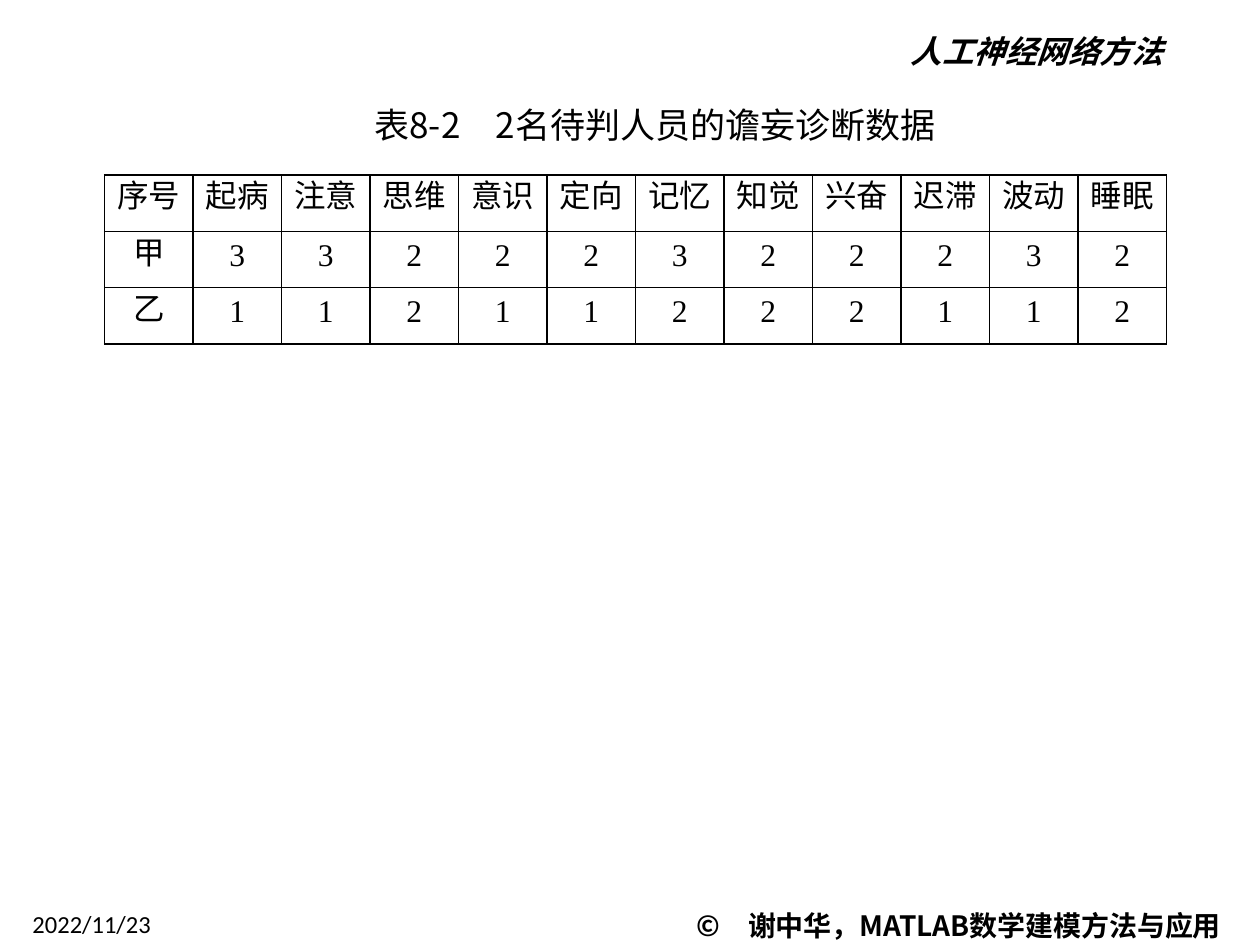
from dataclasses import dataclass

from lxml import etree
from pptx import Presentation
from pptx.dml.color import RGBColor
from pptx.enum.text import MSO_ANCHOR, MSO_AUTO_SIZE, PP_ALIGN
from pptx.oxml.ns import qn
from pptx.util import Inches, Pt

LEFT, CENTER = PP_ALIGN.LEFT, PP_ALIGN.CENTER
TOP, MIDDLE = MSO_ANCHOR.TOP, MSO_ANCHOR.MIDDLE
NO_AUTOFIT = MSO_AUTO_SIZE.NONE


@dataclass(frozen=True)
class Theme:
    ink: RGBColor = RGBColor(0, 0, 0)
    caption: int = 20
    body: int = 18
    copyright: int = 16
    date: int = 14
    line_spacing: float = 15.6
    border: int = 1
    chinese: str = "Noto Sans CJK SC"


THEME = Theme()

CAPTION = {
    "text": "表8-2　2名待判人员的谵妄诊断数据",
    "box": (20.1, 10.27, 63.8, 5.87),
    "align": CENTER,
    "anchor": MIDDLE,
    "font": {"name": THEME.chinese, "size": Pt(THEME.caption), "bold": False},
}
LABELS = [
    {
        "text": "人工神经网络方法",
        "box": (70.5, 2.67, 23.6, 5.33),
        "align": CENTER,
        "anchor": MIDDLE,
        "font": {"name": "Arial", "size": Pt(THEME.body), "bold": True, "italic": True},
    },
    {
        "text": "2022/11/23",
        "box": (1.6, 95.73, 21.6, 4),
        "align": LEFT,
        "anchor": MIDDLE,
        "font": {"name": "Calibri", "size": Pt(THEME.date)},
    },
    {
        "text": "©　谢中华，MATLAB数学建模方法与应用",
        "box": (53.1, 96, 46, 3.87),
        "align": CENTER,
        "anchor": MIDDLE,
        "font": {"name": THEME.chinese, "size": Pt(THEME.copyright), "bold": True},
    },
]
DIAGNOSIS_BOX = (8.3, 18.53, 84.3, 17.87)
DIAGNOSIS = [
    ["序号", "起病", "注意", "思维", "意识", "定向",
     "记忆", "知觉", "兴奋", "迟滞", "波动", "睡眠"],
    ["甲", 3, 3, 2, 2, 2, 3, 2, 2, 2, 3, 2],
    ["乙", 1, 1, 2, 1, 1, 2, 2, 2, 1, 1, 2],
]
CELL_FORMAT = {
    "margin_left": Inches(0.07),
    "margin_right": Inches(0.07),
    "margin_top": 0,
    "margin_bottom": 0,
    "vertical_anchor": MIDDLE,
}
CELL_FONT = {"name": "Times New Roman", "size": Pt(THEME.body)}


def set_attributes(target, values):
    for name, value in values.items():
        setattr(target, name, value)


def place(presentation, box):
    sizes = (presentation.slide_width, presentation.slide_height) * 2
    return [round(size * share / 100) for size, share in zip(sizes, box)]


def write_text(text_frame, text, align, font):
    paragraph = text_frame.paragraphs[0]
    paragraph.alignment = align
    run = paragraph.add_run()
    run.text = text
    set_attributes(run.font, font)
    run.font.color.rgb = THEME.ink
    latin = run.font._element.find(qn("a:latin"))
    east_asian = etree.Element(qn("a:ea"), typeface=THEME.chinese)
    latin.addnext(east_asian)
    return paragraph


def fill_text_shape(presentation, shape, content):
    position = place(presentation, content["box"])
    set_attributes(shape, dict(zip(("left", "top", "width", "height"), position)))
    set_attributes(shape.text_frame, {
        "word_wrap": True,
        "auto_size": NO_AUTOFIT,
        "vertical_anchor": content["anchor"],
    })
    write_text(shape.text_frame, content["text"], content["align"], content["font"])


def draw_borders(cell):
    properties = cell._tc.get_or_add_tcPr()
    for index, side in enumerate(("lnL", "lnR", "lnT", "lnB")):
        line = etree.Element(qn(f"a:{side}"), w=str(Pt(THEME.border)))
        fill = etree.SubElement(line, qn("a:solidFill"))
        etree.SubElement(fill, qn("a:srgbClr"), val=str(THEME.ink))
        properties.insert(index, line)


def add_diagnosis_table(presentation, slide):
    row_count, column_count = len(DIAGNOSIS), len(DIAGNOSIS[0])
    left, top, width, height = place(presentation, DIAGNOSIS_BOX)
    table = slide.shapes.add_table(
        row_count, column_count, left, top, width, height
    ).table
    set_attributes(table, {"first_row": False, "horz_banding": False})
    for row, values in zip(table.rows, DIAGNOSIS):
        row.height = height // row_count
        for cell, value in zip(row.cells, values):
            set_attributes(cell, CELL_FORMAT)
            cell.fill.background()
            draw_borders(cell)
            paragraph = write_text(cell.text_frame, str(value), CENTER, CELL_FONT)
            paragraph.line_spacing = Pt(THEME.line_spacing)


def main():
    presentation = Presentation()
    set_attributes(presentation, {"slide_width": Inches(10), "slide_height": Inches(7.5)})
    slide = presentation.slides.add_slide(presentation.slide_layouts.get_by_name("Title Only"))
    fill_text_shape(presentation, slide.shapes.title, CAPTION)
    for label in LABELS:
        text_box = slide.shapes.add_textbox(0, 0, 0, 0)
        fill_text_shape(presentation, text_box, label)
    add_diagnosis_table(presentation, slide)
    presentation.save("out.pptx")


if __name__ == "__main__":
    main()
